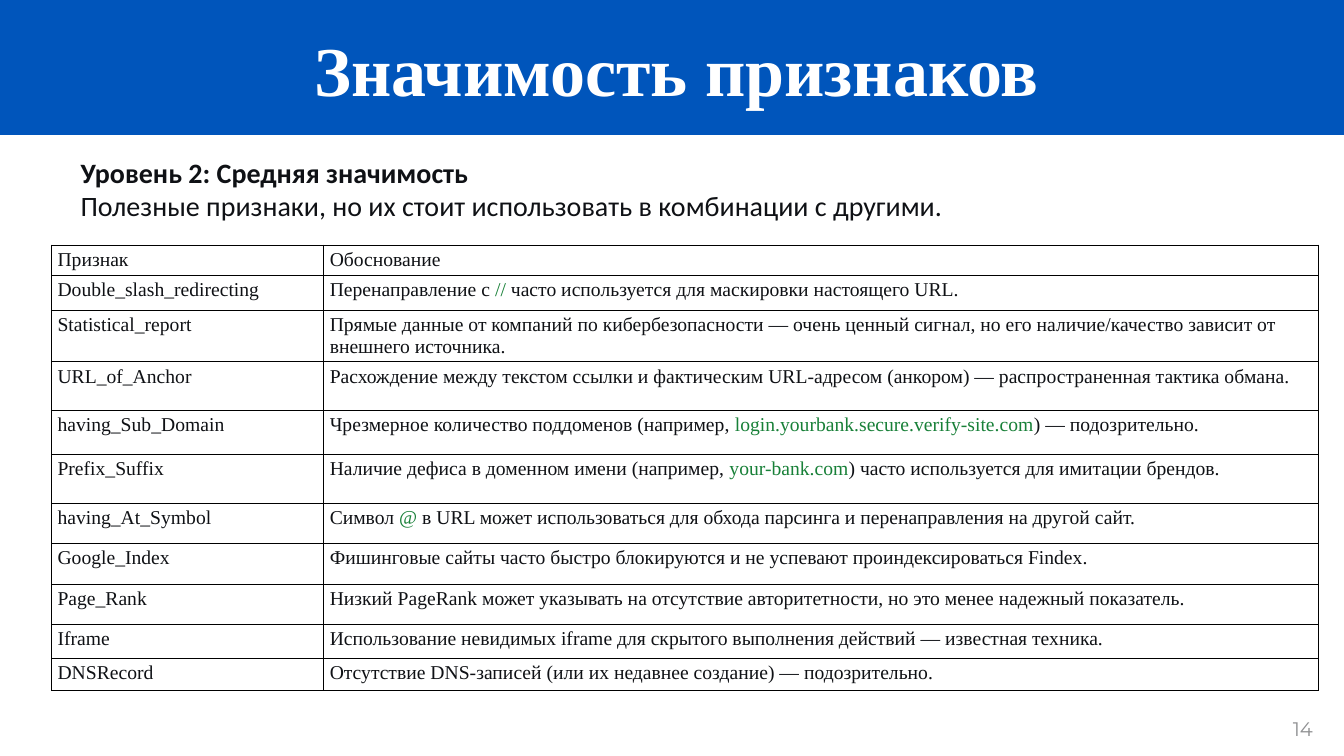
from lxml.etree import SubElement
from pptx import Presentation
from pptx.dml.color import RGBColor
from pptx.enum.shapes import MSO_SHAPE
from pptx.enum.text import MSO_ANCHOR, PP_ALIGN
from pptx.oxml.ns import qn
from pptx.util import Cm, Pt

BLUE, WHITE, INK, GREEN, GRAY = "0055BB", "FFFFFF", "0F1115", "188038", "8F9092"
SERIF = "Times New Roman"


def color(hex_value):
    return RGBColor.from_string(hex_value)


def add_text(paragraph, text, size=14, font=SERIF, fill=INK, bold=False):
    """Add text; parts between backticks become green."""
    for index, part in enumerate(text.split("`")):
        run = paragraph.add_run()
        run.text = part
        run.font.size = Pt(size)
        run.font.name = font
        run.font.bold = bold
        run.font.color.rgb = color(GREEN if index % 2 else fill)


presentation = Presentation()
presentation.slide_width = Cm(33.87)
presentation.slide_height = Cm(19.05)
slide = presentation.slides.add_slide(presentation.slide_layouts[5])
shapes = slide.shapes

# Title on a blue band
title = shapes.title
title.left, title.top, title.width, title.height = Cm(0.66), Cm(0.53), Cm(32.79), Cm(2.39)
title.text_frame.vertical_anchor = MSO_ANCHOR.MIDDLE
title.text_frame.paragraphs[0].alignment = PP_ALIGN.CENTER
add_text(title.text_frame.paragraphs[0], "Значимость признаков", size=50, fill=WHITE, bold=True)

band = shapes.add_shape(MSO_SHAPE.RECTANGLE, 0, 0, presentation.slide_width, Cm(3.4))
band.shadow.inherit = False
band.fill.solid()
band.fill.fore_color.rgb = color(BLUE)
band.line.fill.background()
title._element.addprevious(band._element)

# Table of features: height in cm, name, reason
rows = [
    (0.76, "Признак", "Обоснование"),
    (0.89, "Double_slash_redirecting",
     "Перенаправление с `//` часто используется для маскировки настоящего URL."),
    (1.22, "Statistical_report",
     "Прямые данные от компаний по кибербезопасности — очень ценный сигнал, "
     "но его наличие/качество зависит от внешнего источника."),
    (1.22, "URL_of_Anchor",
     "Расхождение между текстом ссылки и фактическим URL-адресом (анкором) — "
     "распространенная тактика обмана."),
    (1.12, "having_Sub_Domain",
     "Чрезмерное количество поддоменов (например, "
     "`login.yourbank.secure.verify-site.com`) — подозрительно."),
    (1.22, "Prefix_Suffix",
     "Наличие дефиса в доменном имени (например, `your-bank.com`) "
     "часто используется для имитации брендов."),
    (1.02, "having_At_Symbol",
     "Символ `@` в URL может использоваться для обхода парсинга "
     "и перенаправления на другой сайт."),
    (1.02, "Google_Index",
     "Фишинговые сайты часто быстро блокируются и не успевают проиндексироваться Findex."),
    (1.02, "Page_Rank",
     "Низкий PageRank может указывать на отсутствие авторитетности, "
     "но это менее надежный показатель."),
    (0.86, "Iframe",
     "Использование невидимых iframe для скрытого выполнения действий — известная техника."),
    (0.81, "DNSRecord",
     "Отсутствие DNS-записей (или их недавнее создание) — подозрительно."),
]
column_widths = [Cm(6.86), Cm(25.07)]
table = shapes.add_table(len(rows), 2, Cm(1.3), Cm(6.17), sum(column_widths),
                         Cm(sum(row[0] for row in rows))).table
table.first_row = table.horz_banding = False
for column, width in zip(table.columns, column_widths):
    column.width = width

for row_index, (height, *texts) in enumerate(rows):
    table.rows[row_index].height = Cm(height)
    for column_index, text in enumerate(texts):
        cell = table.cell(row_index, column_index)
        cell.margin_left = Cm(0.15)
        cell.margin_right = Cm(0.1 if row_index and column_index else 0.15)
        cell.margin_top = cell.margin_bottom = Cm(0.1)
        add_text(cell.text_frame.paragraphs[0], text)
        properties = cell._tc.get_or_add_tcPr()
        for side in ("a:lnL", "a:lnR", "a:lnT", "a:lnB"):
            border = SubElement(properties, qn(side), w=str(Pt(0.5)))
            SubElement(SubElement(border, qn("a:solidFill")), qn("a:srgbClr"), val="000000")
        cell.fill.background()

# Level heading above the table
heading = shapes.add_shape(MSO_SHAPE.RECTANGLE, Cm(1.78), Cm(3.48), Cm(26.82), Cm(2.13))
heading.shadow.inherit = False
heading.fill.solid()
heading.fill.fore_color.rgb = color(WHITE)
heading.line.fill.background()
frame = heading.text_frame
frame.word_wrap = True
frame.vertical_anchor = MSO_ANCHOR.MIDDLE
frame.margin_left = frame.margin_right = Cm(0.25)
frame.margin_top, frame.margin_bottom = Cm(0.43), 0
add_text(frame.paragraphs[0], "Уровень 2: Средняя значимость", size=20, font="Calibri", bold=True)
add_text(frame.add_paragraph(),
         "Полезные признаки, но их стоит использовать в комбинации с другими.",
         size=20, font="Calibri")
for paragraph in frame.paragraphs:
    paragraph.alignment = PP_ALIGN.LEFT

# Slide number
number = shapes.add_textbox(Cm(32.33), Cm(17.93), Cm(1.14), Cm(0.86))
add_text(number.text_frame.paragraphs[0], "14", font="Montserrat", fill=GRAY)

presentation.save("out.pptx")
